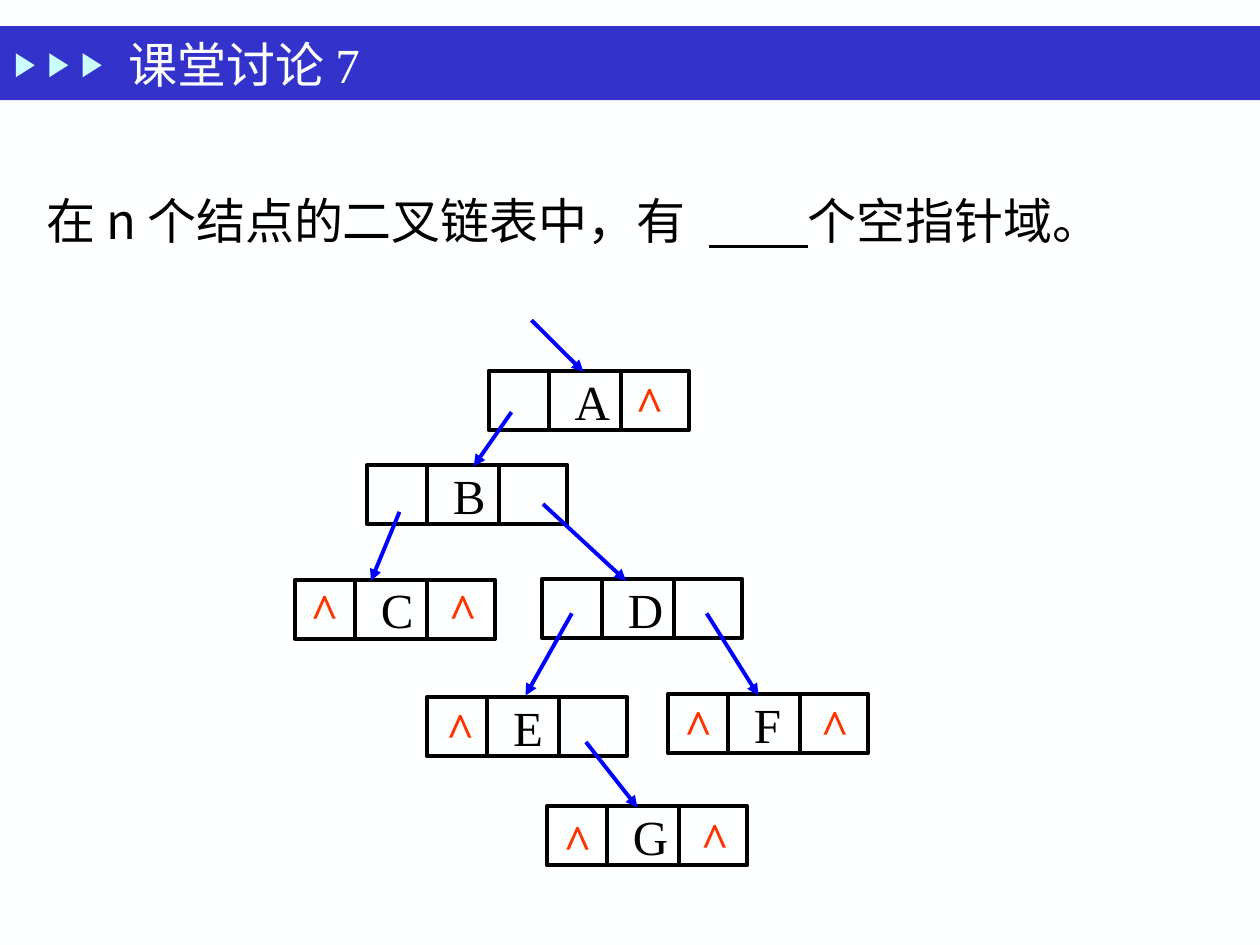
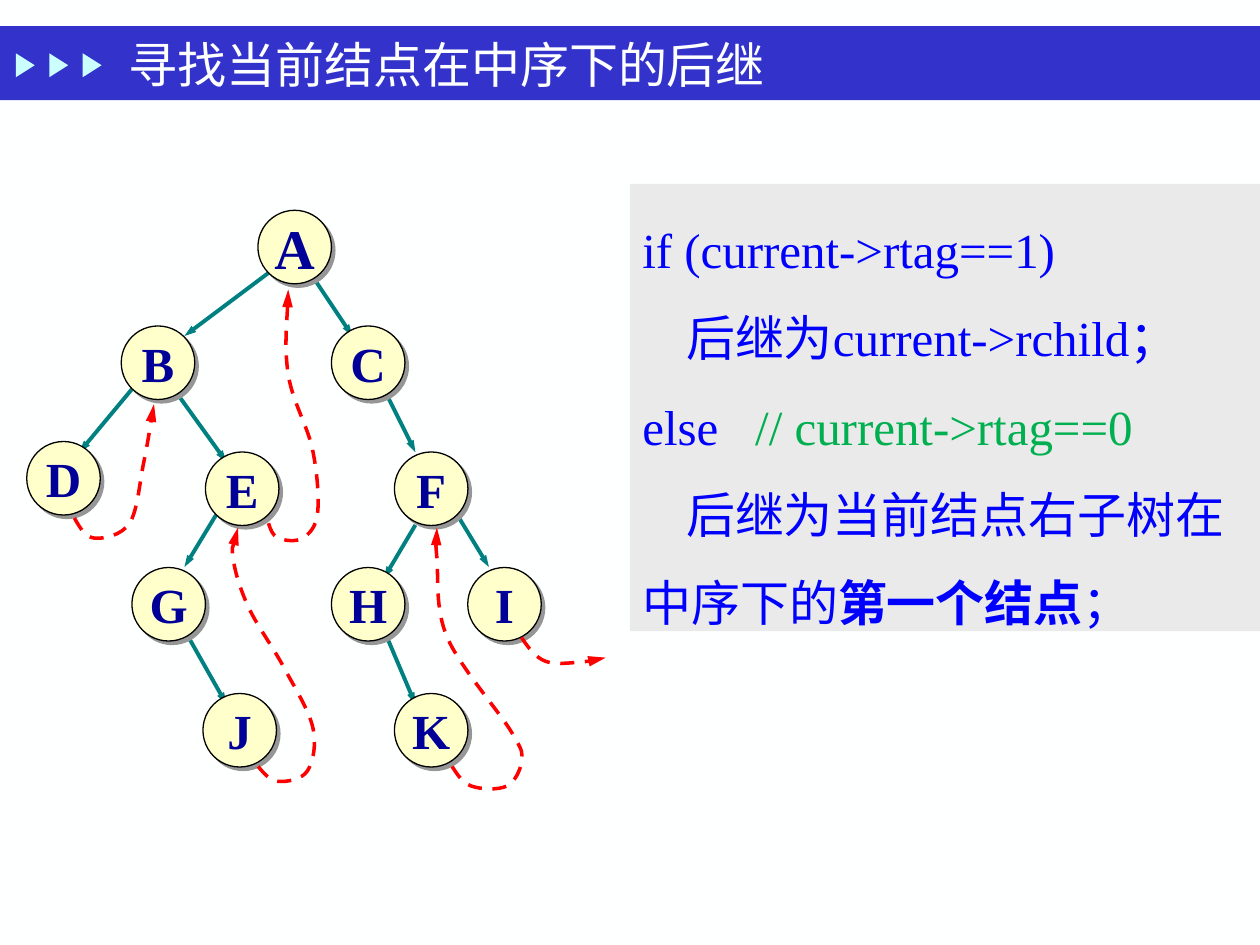
from lxml import etree
from pptx import Presentation
from pptx import util as u
from pptx.dml.color import RGBColor
from pptx.enum import dml, shapes, text
from pptx.oxml.ns import qn

Pt = u.Pt
WHITE = RGBColor(0xFE, 0xFF, 0xFF)
BAND = RGBColor(0x33, 0x33, 0xCC)
MARK = RGBColor(0xCB, 0xFF, 0xFF)
BLACK = RGBColor(0, 0, 0)
BLUE = RGBColor(0, 0, 0xFF)
NULL_RED = RGBColor(0xFF, 0x33, 0)
TEAL = RGBColor(0, 0x80, 0x80)
CREAM = RGBColor(0xFF, 0xFF, 0xCC)
NAVY = RGBColor(0, 0, 0x99)
THREAD_RED = RGBColor(0xFF, 0, 0)
PANEL = RGBColor(0xEA, 0xEA, 0xEA)
GREEN = RGBColor(0, 0xB0, 0x50)

LATIN = "Times New Roman"
CJK = "Noto Sans CJK SC"
SHAPE = shapes.MSO_SHAPE
LEFT = text.PP_ALIGN.LEFT
CENTER = text.PP_ALIGN.CENTER
MIDDLE = text.MSO_ANCHOR.MIDDLE
TOP = text.MSO_ANCHOR.TOP

BOX_W, BOX_H = 114.5, 33.9
DIVIDERS = (34.5, 75.5)
LETTER_INSET = 49.2
CIRCLE = 42

LIST_NODES = [
    ("A", 279.2, 211.9, [(76.5, -3)]),
    ("B", 209.6, 265.6, []),
    ("C", 168.5, 331.2, [(1.5, -3.5), (80.5, -3.5)]),
    ("D", 309.6, 330.9, []),
    ("E", 244, 398.2, [(3.5, -3)]),
    ("F", 381.6, 396.5, [(2, -3), (80, -3)]),
    ("G", 312.5, 460.6, [(2, -1), (80.5, -2.5)]),
]
LIST_LINKS = [
    (303.7, 183, 333.4, 212.5),
    (292.3, 235.5, 270.7, 266.5),
    (228.3, 292.5, 212, 332),
    (310.3, 288, 357.8, 332),
    (326.8, 350.5, 300.3, 397.5),
    (403.8, 350.5, 433.4, 397.5),
    (334.8, 424, 364.3, 461.5),
]
TREE_NODES = [
    ("A", 147.4, 120.2), ("B", 69.3, 186.3), ("C", 189.4, 186.3),
    ("D", 15.3, 252.3), ("E", 117.4, 258.3), ("F", 225.4, 258.3),
    ("G", 75.4, 324.3), ("H", 189.4, 324.3), ("I", 267.3, 324.3),
    ("J", 116, 396.3), ("K", 225.4, 396.3),
]
TREE_EDGES = [
    (153.4, 156, 105.4, 192), (177.3, 156, 201.4, 192),
    (75.4, 222.4, 45.4, 258.4), (99.4, 222.4, 129.4, 264),
    (219.4, 222.4, 237.4, 258.4), (123.4, 294.4, 105.4, 324),
    (237.4, 300, 219.4, 330.4), (261.4, 294.4, 279.4, 324),
    (105.4, 360, 129.4, 402.4), (219.4, 360, 237.4, 402.4),
]
THREADS = [
    [(42.5, 296), (54, 307.5), (74, 299), (82, 265), (88, 231)],
    [(153.4, 299), (159, 307.5), (173, 307.5), (181.5, 293),
     (178.5, 256.5), (164.7, 214), (164.7, 165.5)],
    [(147.5, 438), (159, 446.5), (175.7, 440.5), (178.7, 415.5),
     (162, 381), (142, 347), (133.2, 319), (136, 301.5)],
    [(258.4, 438), (269.5, 449.2), (289.5, 449.2), (298, 435),
     (292.3, 418.3), (255.6, 364.3), (249.7, 319), (249.7, 301.5)],
    [(298, 364.3), (312, 378), (335, 378), (346.2, 375.8)],
]


def add_run(p, words, color, size=28, font=LATIN, bold=False):
    r = p.add_run()
    r.text = words
    r.font.size = Pt(size)
    r.font.name = font
    r.font.bold = bold
    r.font.color.rgb = color
    ea = etree.SubElement(r.font._element, qn("a:ea"))
    ea.set("typeface", CJK)


def set_indent(p, points):
    p._p.get_or_add_pPr().set("indent", str(Pt(points)))


def set_tab(p, points):
    tabs = etree.SubElement(p._p.get_or_add_pPr(), qn("a:tabLst"))
    etree.SubElement(tabs, qn("a:tab"), pos=str(Pt(points)), algn="l")


def add_box(slide, kind, x, y, w, h, fill=None, line=None, width=2.25):
    sp = slide.shapes.add_shape(kind, Pt(x), Pt(y), Pt(w), Pt(h))
    sp.shadow.inherit = False
    if fill is None:
        sp.fill.background()
    else:
        sp.fill.solid()
        sp.fill.fore_color.rgb = fill
    if line is None:
        sp.line.fill.background()
    else:
        sp.line.color.rgb = line
        sp.line.width = Pt(width)
    return sp


def add_text(slide, x, y, w, h, anchor=TOP):
    tf = slide.shapes.add_textbox(Pt(x), Pt(y), Pt(w), Pt(h)).text_frame
    tf.word_wrap = True
    tf.vertical_anchor = anchor
    return tf


def add_label(tf, words, color, align=CENTER, **style):
    tf.word_wrap = False
    tf.vertical_anchor = MIDDLE
    p = tf.paragraphs[0]
    p.alignment = align
    add_run(p, words, color, **style)


def add_arrowhead(sp, w, length):
    etree.SubElement(sp.line._get_or_add_ln(), qn("a:tailEnd"),
                     type="triangle", w=w, len=length)


def add_line(slide, x1, y1, x2, y2, color, head=None, width=2.25):
    c = slide.shapes.add_connector(shapes.MSO_CONNECTOR.STRAIGHT,
                                   Pt(x1), Pt(y1), Pt(x2), Pt(y2))
    c.line.color.rgb = color
    c.line.width = Pt(width)
    if head:
        add_arrowhead(c, head, "med")
    etree.SubElement(c._element.spPr, qn("a:effectLst"))


def round_corners(sp):
    path = sp._element.spPr.find(".//" + qn("a:path"))
    points = [(int(pt.get("x")), int(pt.get("y")))
              for pt in path.iter(qn("a:pt"))]
    padded = [points[0], *points, points[-1]]
    for i, segment in enumerate(path.findall(qn("a:lnTo"))):
        before, start, end, after = padded[i:i + 4]
        c2 = [e - (a - s) / 6 for s, e, a in zip(start, end, after)]
        if i == 0:
            c1 = [(s + c) / 2 for s, c in zip(start, c2)]
        else:
            c1 = [s + (e - b) / 6 for b, s, e in zip(before, start, end)]
        curve = etree.Element(qn("a:cubicBezTo"))
        for x, y in (c1, c2, end):
            etree.SubElement(curve, qn("a:pt"),
                             x=str(round(x)), y=str(round(y)))
        path.replace(segment, curve)


def add_thread(slide, anchors):
    points = [(Pt(x), Pt(y)) for x, y in anchors]
    fb = slide.shapes.build_freeform(*points[0])
    fb.add_line_segments(points[1:], close=False)
    sp = fb.convert_to_shape()
    round_corners(sp)
    sp.shadow.inherit = False
    sp.fill.background()
    sp.line.color.rgb = THREAD_RED
    sp.line.width = Pt(2)
    sp.line.dash_style = dml.MSO_LINE.DASH
    add_arrowhead(sp, "med", "lg")


def add_list_node(slide, name, x, y, nulls):
    sp = add_box(slide, SHAPE.RECTANGLE, x, y, BOX_W, BOX_H, line=BLACK)
    add_label(sp.text_frame, name, BLACK, LEFT)
    sp.text_frame.word_wrap = True
    sp.text_frame.margin_left = Pt(LETTER_INSET)
    sp.text_frame.margin_right = 0
    for dx in DIVIDERS:
        add_line(slide, x + dx, y, x + dx, y + BOX_H, BLACK)
    for dx, dy in nulls:
        tf = add_text(slide, x + dx, y + dy, 31, 41)
        add_label(tf, "^", NULL_RED, bold=True)


def add_tree_node(slide, name, x, y):
    sp = add_box(slide, SHAPE.OVAL, x, y, CIRCLE, CIRCLE, CREAM, BLACK, 0.75)
    shadow = etree.SubElement(sp._element.spPr.find(qn("a:effectLst")),
                              qn("a:outerShdw"), dist=str(Pt(2.8)),
                              dir="2700000", algn="ctr", rotWithShape="0")
    etree.SubElement(shadow, qn("a:srgbClr"), val="969696")
    add_label(sp.text_frame, name, NAVY, bold=True,
              size=32 if name == "A" else 28)


def add_titled_slide(prs, title):
    slide = prs.slides.add_slide(prs.slide_layouts[6])
    slide.background.fill.solid()
    slide.background.fill.fore_color.rgb = WHITE
    add_box(slide, SHAPE.RECTANGLE, 0, 15, 720, 42.2, BAND)
    for i in range(3):
        mark = add_box(slide, SHAPE.ISOSCELES_TRIANGLE,
                       7.6 + 19.1 * i, 31.9, 13.7, 10.8, MARK)
        mark.rotation = 90
    tf = add_text(slide, 66.5, 18.5, 504, 36, MIDDLE)
    add_run(tf.paragraphs[0], title, WHITE)
    return slide


def build_discussion(prs):
    slide = add_titled_slide(prs, "课堂讨论 7")
    p = add_text(slide, 19.5, 88.5, 680, 67.5).paragraphs[0]
    p.line_spacing = 1.5
    set_tab(p, 435)
    add_run(p, "在 n 个结点的二叉链表中，有\t个空指针域。", BLACK, font=CJK)
    add_line(slide, 405.2, 140.6, 461.7, 140.6, BLACK, width=1.75)
    for node in LIST_NODES:
        add_list_node(slide, *node)
    for link in LIST_LINKS:
        add_line(slide, *link, BLUE, "med")


def build_successor(prs):
    slide = add_titled_slide(prs, "寻找当前结点在中序下的后继")
    for edge in TREE_EDGES:
        add_line(slide, *edge, TEAL, "sm")
    for node in TREE_NODES:
        add_tree_node(slide, *node)
    for anchors in THREADS:
        add_thread(slide, anchors)

    tf = add_box(slide, SHAPE.RECTANGLE, 360, 105.1, 360, 255.6, PANEL).text_frame
    tf.word_wrap = True
    tf.vertical_anchor = TOP
    code = [
        [("if (current->rtag==1)", BLUE, False)],
        [("后继为current->rchild；", BLUE, False)],
        [("else\t", BLUE, False), ("// current->rtag==0", GREEN, False)],
        [("后继为当前结点右子树在中序下的", BLUE, False),
         ("第一个结点", BLUE, True), ("；", BLUE, False)],
    ]
    for i, runs in enumerate(code):
        p = tf.add_paragraph() if i else tf.paragraphs[0]
        p.alignment = LEFT
        p.line_spacing = 1.5
        if i % 2:
            set_indent(p, 25)
        elif i:
            set_tab(p, 64.5)
        for words, color, bold in runs:
            add_run(p, words, color, bold=bold)


def main():
    prs = Presentation()
    prs.slide_width = Pt(720)
    prs.slide_height = Pt(540)
    build_discussion(prs)
    build_successor(prs)
    prs.save("out.pptx")


if __name__ == "__main__":
    main()
